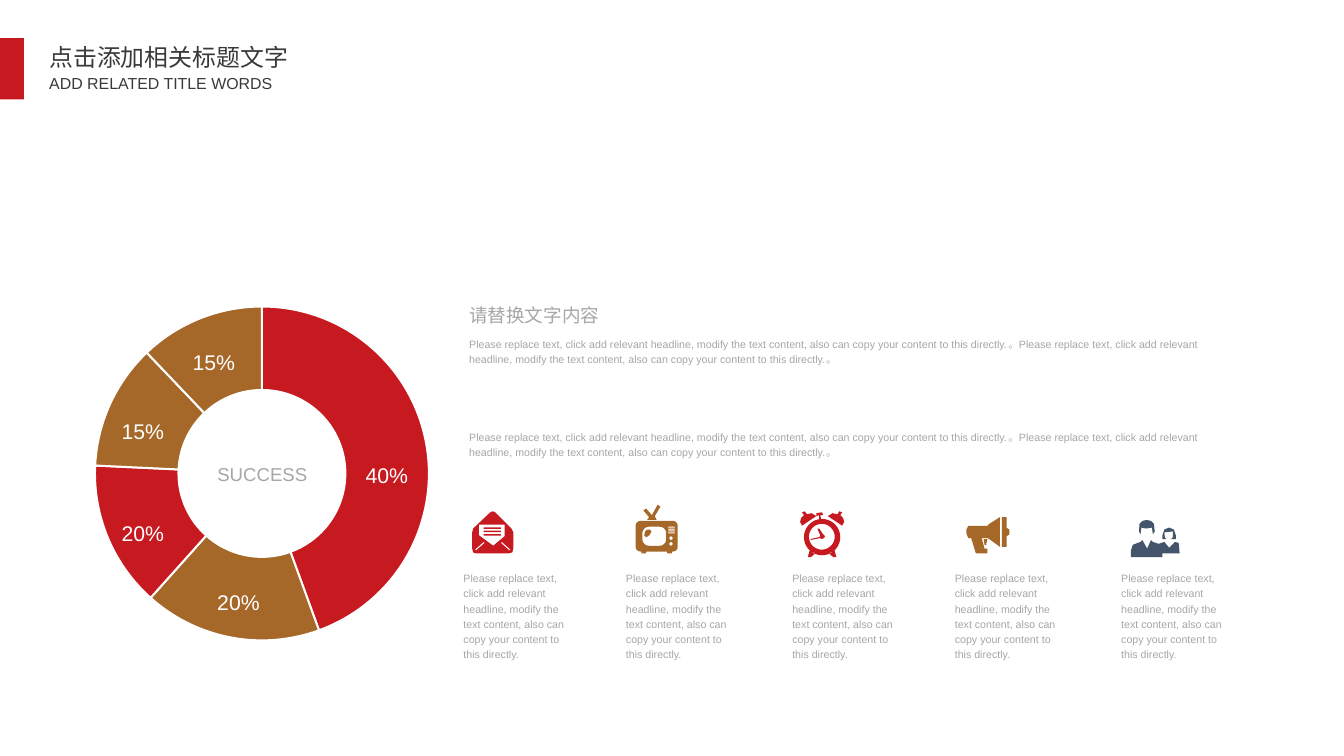
import math

import pptx
import pptx.chart.data
import pptx.dml.color
import pptx.enum.chart
import pptx.enum.shapes
import pptx.enum.text
import pptx.oxml
import pptx.oxml.ns
import pptx.util

Pt = pptx.util.Pt
COLORS = {"red": "C71920", "brown": "A66829", "slate": "44546A",
          "grey": "A6A6A6", "dark": "3B3838", "white": "FFFFFF"}
LATIN, CJK = "Arial", "Noto Sans CJK SC"
GRID = 0.72
CAPTION = ("Please replace text, click add relevant headline, modify the text "
           "content, also can copy your content to this directly.")


def rgb(name):
    """Return the palette colour called name."""
    return pptx.dml.color.RGBColor.from_string(COLORS[name])


def paint(shape, color):
    """Give a shape a flat fill without outline or shadow."""
    shape.shadow.inherit = False
    shape.fill.solid()
    shape.fill.fore_color.rgb = rgb(color)
    shape.line.fill.background()


def add_text(slide, text, left, top, width, height, size=8, color="grey",
             font=LATIN, spacing=1.2, centered=False, wrap=True, inset=7.2):
    """Write one paragraph in a text box."""
    box = slide.shapes.add_textbox(Pt(left), Pt(top), Pt(width), Pt(height))
    frame = box.text_frame
    frame.word_wrap = wrap
    frame.auto_size = pptx.enum.text.MSO_AUTO_SIZE.SHAPE_TO_FIT_TEXT
    frame.margin_left = frame.margin_right = Pt(inset)
    paragraph = frame.paragraphs[0]
    paragraph.line_spacing = spacing
    if centered:
        paragraph.alignment = pptx.enum.text.PP_ALIGN.CENTER
    run = paragraph.add_run()
    run.text = text
    run.font.size = Pt(size)
    run.font.name = font
    run.font.color.rgb = rgb(color)
    east_asian = pptx.oxml.parse_xml(
        f'<a:ea {pptx.oxml.ns.nsdecls("a")} typeface="{CJK}"/>')
    run.font._element.append(east_asian)


def arc(cx, cy, radius, start=0, end=360, step=10):
    """Return points along an arc, angles in degrees."""
    return [(cx + radius * math.cos(math.radians(a)),
             cy + radius * math.sin(math.radians(a)))
            for a in range(start, end + 1, step)]


def block(x, y, width, height, radius=0):
    """Return the outline of a rectangle with optional round corners."""
    if not radius:
        return [(x, y), (x + width, y), (x + width, y + height), (x, y + height)]
    right, bottom = x + width - radius, y + height - radius
    corners = [(right, bottom), (x + radius, bottom),
               (x + radius, y + radius), (right, y + radius)]
    return [point for i, (cx, cy) in enumerate(corners)
            for point in arc(cx, cy, radius, 90 * i, 90 * i + 90, 15)]


def mirrored(outline, width):
    """Return an outline and its reflection within the given width."""
    return [outline, [(width - x, y) for x, y in outline]]


ENVELOPE = [
    [(41, 18), (43, 22), (43, 39), (42, 43), (38, 44), (4, 44), (1, 43),
     (0, 39), (0, 22), (1, 18), (19, 1), (21.5, 0), (24, 1)],
    [(7, 14), (7, 25), (22, 36), (34, 26), (34, 14)],
    *[block(12, y, 18, 1.6) for y in (16.8, 20.3, 23.9)],
    *mirrored([(4, 41), (13, 33), (12, 32), (3, 40)], 43),
]
TELEVISION = [
    block(0, 17, 44, 32, 5), block(6, 49, 5, 2), block(33, 49, 5, 2),
    [(11, 4), (17, 11), (23, 0), (26, 2), (20, 12), (22, 16), (12, 16),
     (14, 13), (8, 6)],
    block(7, 23, 25, 20, 7),
    [(15, 26), (12, 26), (10, 28), (9, 32), (11, 34), (13, 33), (15, 31),
     (16.5, 28)],
    *[block(34, y, 7, 1) for y in (23, 25, 27, 29)],
    arc(37, 35, 1.8), arc(37, 41, 1.8),
]
CLOCK = [
    arc(23, 27, 19), arc(22.7, 26.6, 13.5),
    [(20, 8), (20, 4), (17, 5), (17, 2), (23, 1), (24, 4), (21, 4), (22, 8)],
    *mirrored([(10, 41), (8, 48), (11, 48), (16, 44)], 46),
    *mirrored([(7, 3), (5, 0), (2, 1), (4, 4), (1, 7), (0, 11), (2, 15),
               (17, 5), (12, 2)], 46),
    [(21, 26), (20, 27), (11, 29), (11, 30), (21, 28), (22, 29), (25, 28),
     (26, 26), (24, 24), (20, 18), (18, 18), (21, 25)],
]
MEGAPHONE = [
    [(2, 9), (22, 9), (24, 7), (35, 0), (35, 31), (24, 23), (22, 22), (16, 22),
     (19, 33), (22, 33), (22, 38), (10, 38), (5, 22), (2, 22), (0, 17), (0, 13)],
    [(42, 11), (45, 13), (45, 18), (42, 20), (42, 31), (37, 31), (37, 0), (42, 0)],
    [(22, 23), (18, 23), (19, 29), (21, 29), (21, 27)],
]
PEOPLE = [
    [(2, 26), (10, 23), (12, 21), (17, 30), (21, 21), (23, 23), (29, 25),
     (35, 23), (40, 29), (46, 23), (50, 24), (51, 35), (33, 35), (33, 39),
     (0, 39), (0, 32)],
    [(35, 13), (44, 12), (44, 18), (42, 20), (47, 20), (47, 16), (45, 10),
     (40, 8), (35, 10), (33, 16), (33, 20), (37, 20), (35.5, 18)],
    [(10, 15), (11, 8), (16, 9), (22, 8), (23, 15), (25, 12), (24, 4), (21, 1),
     (16.5, 0), (12, 1), (9, 4), (8.5, 12)],
]
TOPICS = [(ENVELOPE, "red", 13.7, 5), (TELEVISION, "brown", 14.4, 0),
          (CLOCK, "red", 13, 5), (MEGAPHONE, "brown", 15.8, 9.4),
          (PEOPLE, "slate", 14.4, 11.5)]


def add_icon(slide, outlines, color, left, top):
    """Draw the outlines as one filled icon at the given corner."""
    builder = None
    for outline in outlines:
        points = [(Pt(GRID * x), Pt(GRID * y)) for x, y in outline]
        if builder is None:
            builder = slide.shapes.build_freeform(*points[0])
        else:
            builder.move_to(*points[0])
        builder.add_line_segments(points[1:], close=True)
    paint(builder.convert_to_shape(Pt(left), Pt(top)), color)


def add_header(slide, left, top):
    """Place the red tab and the two title lines."""
    tab = slide.shapes.add_shape(pptx.enum.shapes.MSO_SHAPE.RECTANGLE,
                                 Pt(left), Pt(top), Pt(18), Pt(46))
    paint(tab, "red")
    title = {"color": "dark", "spacing": 1.0, "wrap": False, "inset": 7.6}
    add_text(slide, "点击添加相关标题文字", left + 29.5, top, 197.3, 29.5,
             size=18, font=CJK, **title)
    add_text(slide, "ADD RELATED TITLE WORDS", left + 29.5, top + 23, 185, 22.3,
             size=12, **title)


def add_success_ring(slide, left, top, width, height):
    """Place the doughnut chart with its percentages and centre word."""
    shares = pptx.chart.data.CategoryChartData()
    shares.categories = ["1", "2", "3", "4", "5"]
    shares.add_series("Series 1", (44, 17, 14, 12, 12))
    ring = slide.shapes.add_chart(
        pptx.enum.chart.XL_CHART_TYPE.DOUGHNUT, Pt(left), Pt(top), Pt(width),
        Pt(height), shares).chart
    ring.has_legend = ring.has_title = False
    ring.font.name, ring.font.size = LATIN, Pt(10)
    plot = ring.plots[0]
    plot.vary_by_categories = False
    for hole in plot._element.findall(pptx.oxml.ns.qn("c:holeSize")):
        hole.set("val", "56")
    for i, color in enumerate(("red", "brown", "red", "brown", "brown")):
        sector = plot.series[0].points[i].format
        sector.fill.solid()
        sector.fill.fore_color.rgb = rgb(color)
        sector.line.color.rgb = rgb("white")
        sector.line.width = Pt(1.5)
    add_text(slide, "SUCCESS", left + 118, top + 121, 82.8, 26, size=14,
             centered=True, wrap=False)
    for share, x, y in (("40%", 229.7, 120.2), ("15%", 99.4, 34.6),
                        ("15%", 46, 87), ("20%", 46, 163.4), ("20%", 118, 215.3)):
        add_text(slide, share, left + x, top + y, 46.8, 28, size=16,
                 color="white", centered=True, wrap=False)


def add_summary(slide, left, top, width):
    """Place the heading and its two paragraphs."""
    add_text(slide, "请替换文字内容", left, top, 117.4, 26, size=14, wrap=False)
    for offset in (27.4, 97.2):
        add_text(slide, (CAPTION + "。") * 2, left, top + offset, width, 30.2)


def add_topics(slide, left, top, pair_pitch):
    """Place the five icons, each above its caption."""
    for i, (outlines, color, x, y) in enumerate(TOPICS):
        column = left + i // 2 * pair_pitch + i % 2 * 122.4
        add_icon(slide, outlines, color, column + x, top + y)
        add_text(slide, CAPTION, column, top + 45.4, 95, 77)


def main():
    """Build the slide and save it."""
    deck = pptx.Presentation()
    deck.slide_width, deck.slide_height = Pt(1012.3), Pt(569.5)
    slide = deck.slides.add_slide(deck.slide_layouts[6])
    add_header(slide, 0, 28.8)
    add_success_ring(slide, 38.2, 221, 318.2, 271.4)
    add_summary(slide, 346.3, 221.8, 578.2)
    add_topics(slide, 342, 380.2, 247.7)
    deck.save("out.pptx")


if __name__ == "__main__":
    main()
